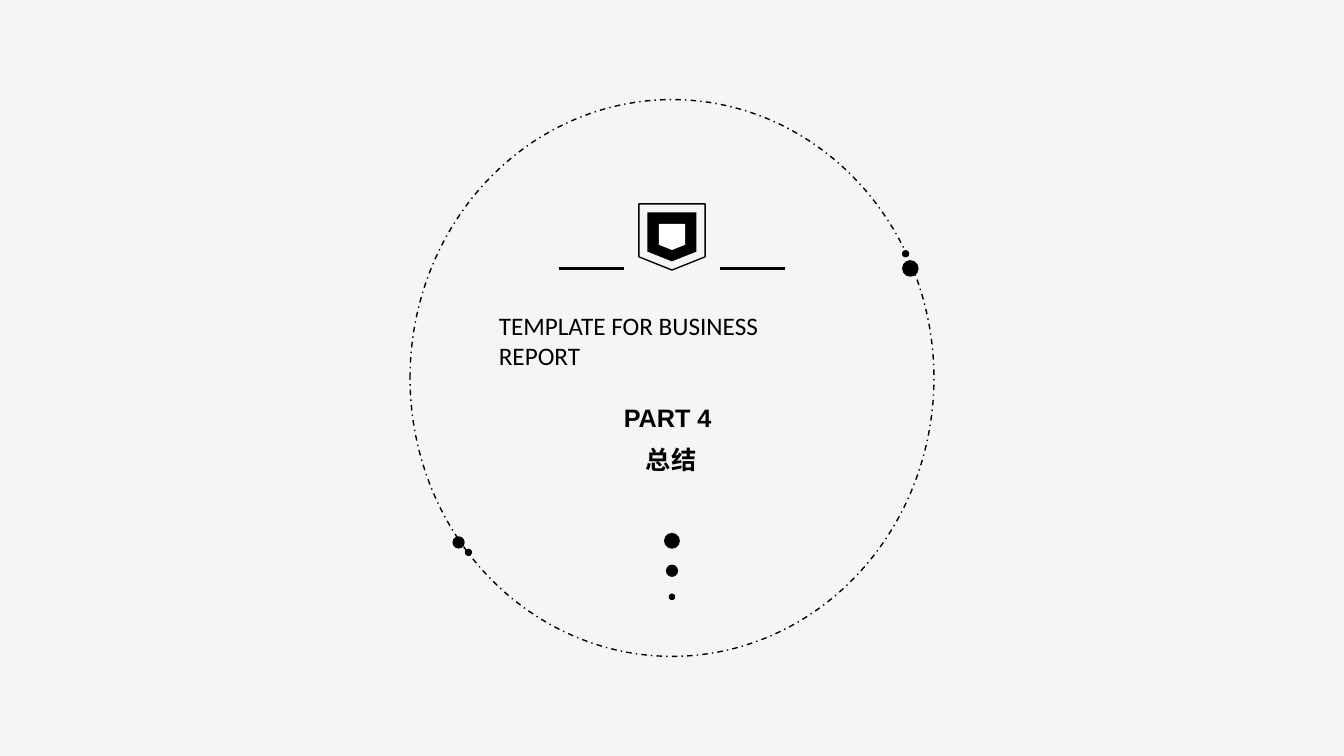
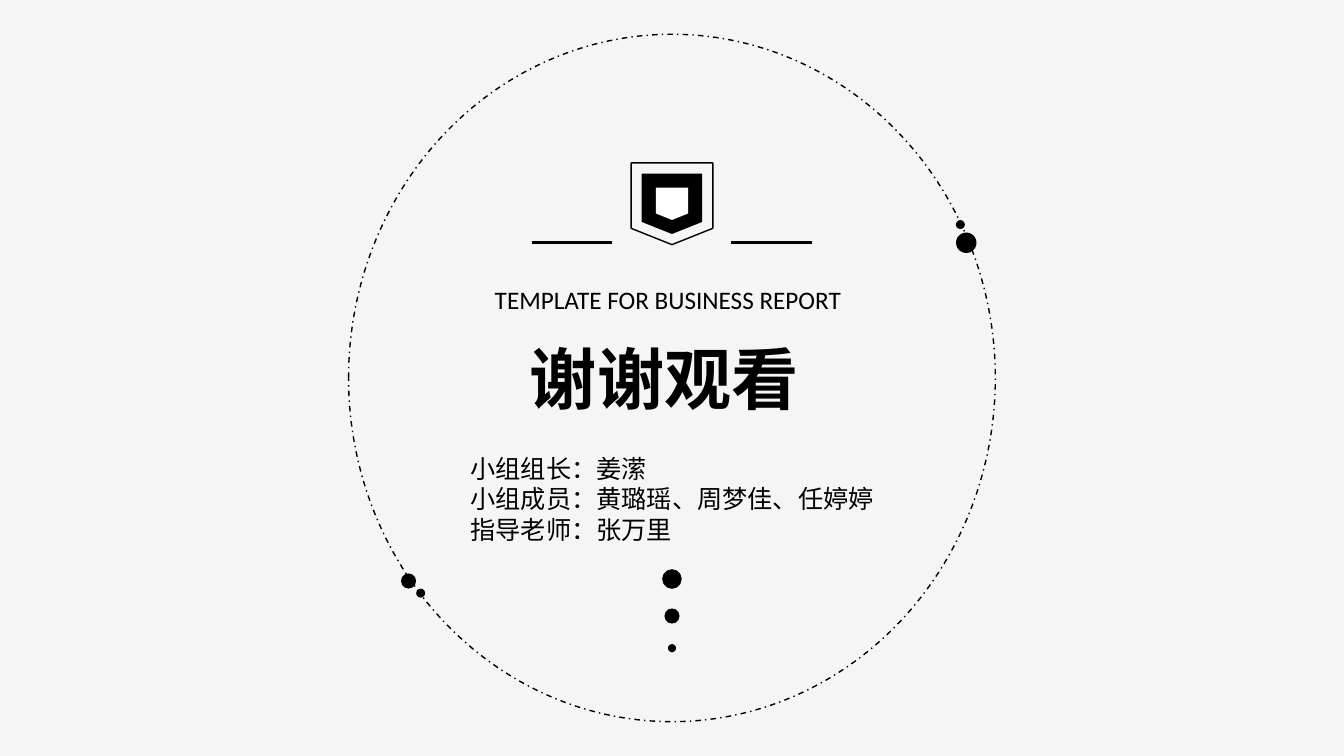
from lxml import etree
from pptx import Presentation
from pptx.dml.color import RGBColor
from pptx.enum import dml, shapes, text
from pptx.oxml import ns
from pptx.util import Pt

THEME = {
    "back": "F5F5F5", "ink": "000000", "core": "FFFFFF",
    "font": "Calibri", "label": "Arial",
    "body": 18, "title": 48, "thin": 1, "thick": 2,
}
WIDE, HIGH = 960, 540

RING = (462, 491)
DOTS = [
    (-188.2, 145, 10.8), (-179.5, 153.7, 6.4),
    (210.2, -96.6, 14.6), (206, -109.6, 6.4),
    (0, 143.6, 14), (0, 170, 10.8), (0, 193, 5.8),
]
BADGE_Y = -124.4
BADGES = [(43.2, "ink", None), (58.4, None, "ink"), (23, "core", None)]
RULE_Y, RULE_IN, RULE_OUT = -96.5, 42.5, 100

MOTTO = "TEMPLATE FOR BUSINESS REPORT"
SLIDES = [
    {"scale": 0.81, "texts": [
        (MOTTO, (349.2, 218.2, 261.2, 28.8), {}),
        ("PART 4", (438.5, 283.7, 82.8, 28.8), {"bold": True, "font": "label"}),
        ("总结", (454.3, 313.9, 50.4, 28.8), {"bold": True, "wrap": False}),
    ]},
    {"scale": 1, "texts": [
        (MOTTO, (346.3, 199.4, 266.6, 28.8), {}),
        ("谢谢观看", (371.5, 237.6, 216, 65.5), {"bold": True, "size": "title"}),
        ("小组组长：姜潆\n小组成员：黄璐瑶、周梦佳、任婷婷\n指导老师：张万里",
         (329, 320.4, 302.4, 72.7), {"wrap": False}),
    ]},
]


def color(name):
    return RGBColor.from_string(THEME[name])


def add_text(slide, words, box, size="body", font="font", bold=False, wrap=True):
    frame = slide.shapes.add_textbox(*map(Pt, box)).text_frame
    frame.word_wrap = wrap
    frame.text = words
    for para in frame.paragraphs:
        para.alignment = text.PP_ALIGN.LEFT
        face = para.runs[0].font
        face.name = THEME[font]
        face.size = Pt(THEME[size])
        face.bold = bold
        face.color.rgb = color("ink")


def add_form(slide, kind, x, y, w, h, scale, fill=None, line=None, dash=None):
    w, h = w * scale, h * scale
    left, top = WIDE / 2 + x * scale - w / 2, HIGH / 2 + y * scale - h / 2
    form = slide.shapes.add_shape(kind, *map(Pt, (left, top, w, h)))
    form.shadow.inherit = False
    if fill:
        form.fill.solid()
        form.fill.fore_color.rgb = color(fill)
    else:
        form.fill.background()
    if line:
        form.line.color.rgb = color(line)
        form.line.width = Pt(THEME["thin"])
        form.line.dash_style = dash
    else:
        form.line.fill.background()


def add_rule(slide, start, end, y, scale):
    x1, x2 = (Pt(WIDE / 2 + x * scale) for x in (start, end))
    level = Pt(HIGH / 2 + y * scale)
    rule = slide.shapes.add_connector(shapes.MSO_CONNECTOR.STRAIGHT, x1, level, x2, level)
    rule.line.color.rgb = color("ink")
    rule.line.width = Pt(THEME["thick"])
    etree.SubElement(rule._element.spPr, ns.qn("a:effectLst"))


def add_emblem(slide, scale):
    oval = shapes.MSO_SHAPE.OVAL
    badge = shapes.MSO_SHAPE.FLOWCHART_OFFPAGE_CONNECTOR
    add_form(slide, oval, 0, 0, *RING, scale, line="ink", dash=dml.MSO_LINE.DASH_DOT)
    for x, y, size in DOTS:
        add_form(slide, oval, x, y, size, size, scale, fill="ink")
    for size, fill, line in BADGES:
        add_form(slide, badge, 0, BADGE_Y, size, size, scale, fill, line)
    for start, end in ((-RULE_OUT, -RULE_IN), (RULE_IN, RULE_OUT)):
        add_rule(slide, start, end, RULE_Y, scale)


def main():
    deck = Presentation()
    deck.slide_width, deck.slide_height = Pt(WIDE), Pt(HIGH)
    back = deck.slide_master.background.fill
    back.solid()
    back.fore_color.rgb = color("back")
    for page in SLIDES:
        slide = deck.slides.add_slide(deck.slide_layouts[6])
        add_emblem(slide, page["scale"])
        for words, box, style in page["texts"]:
            add_text(slide, words, box, **style)
    deck.save("out.pptx")


if __name__ == "__main__":
    main()
